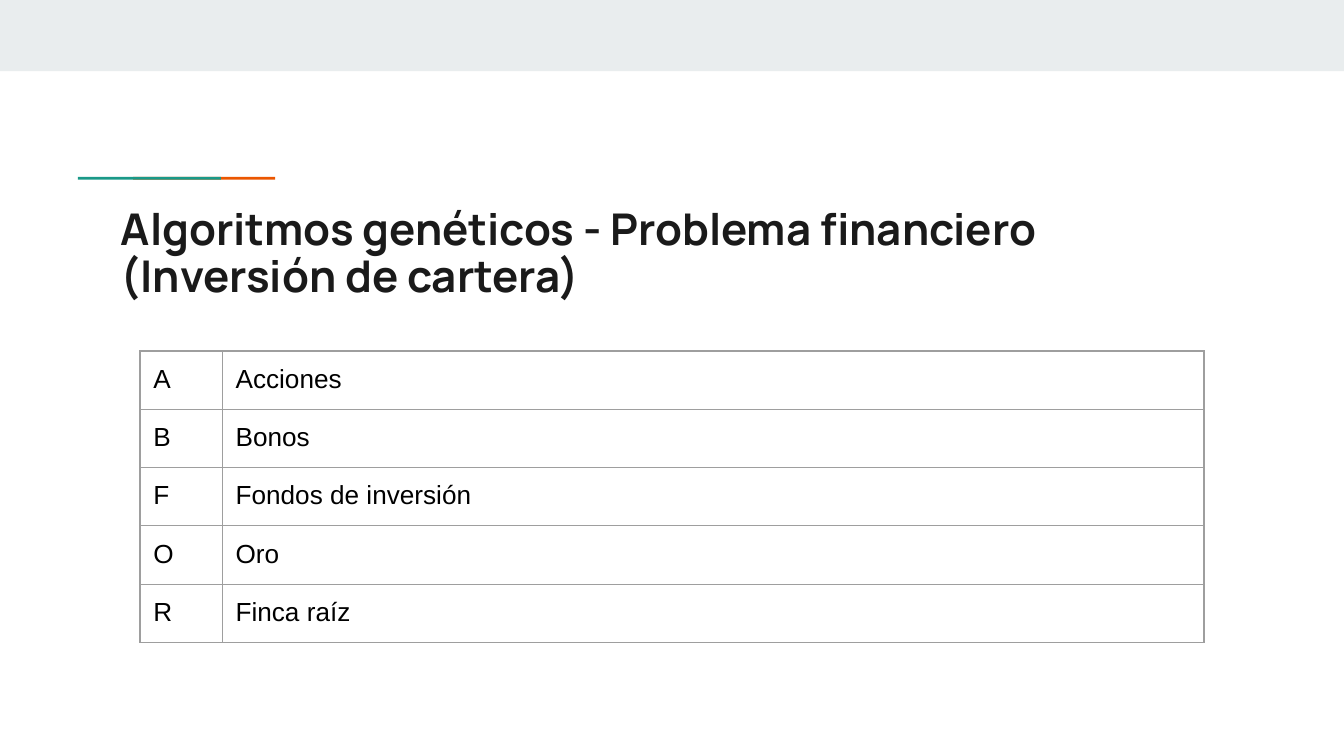
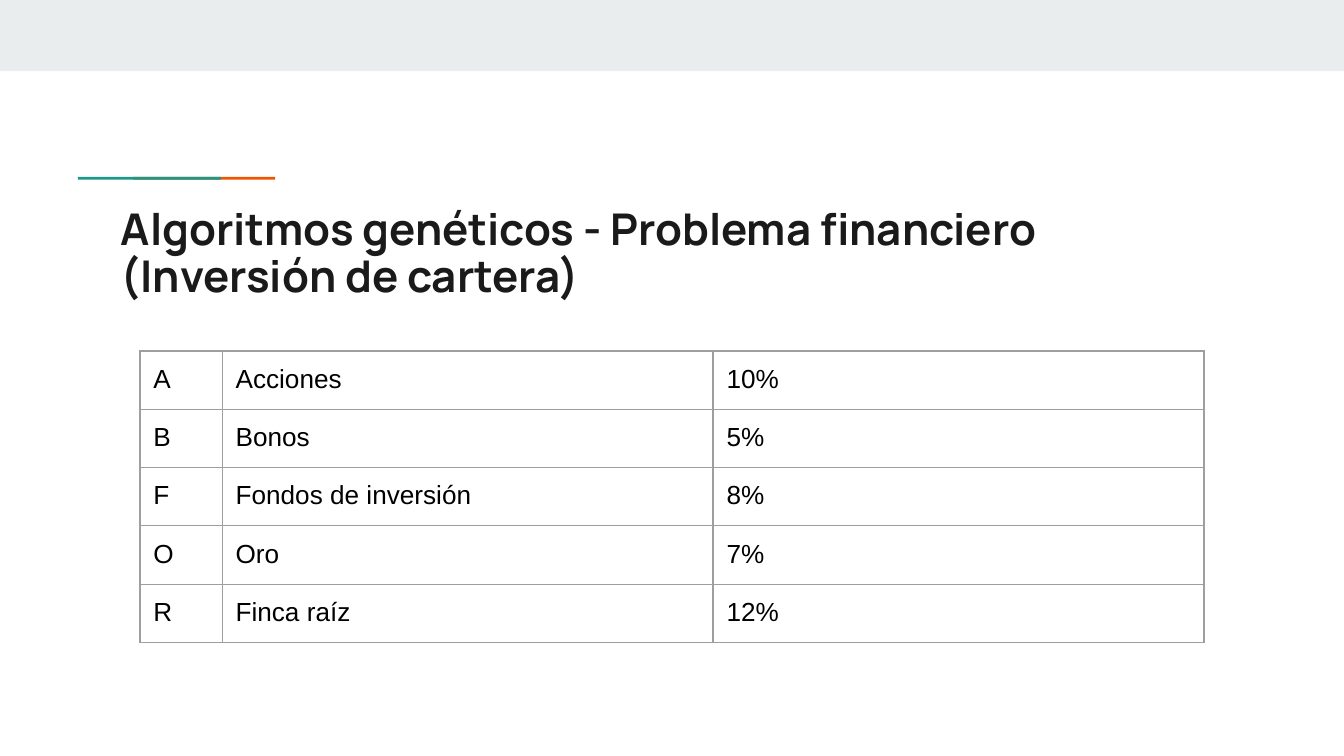
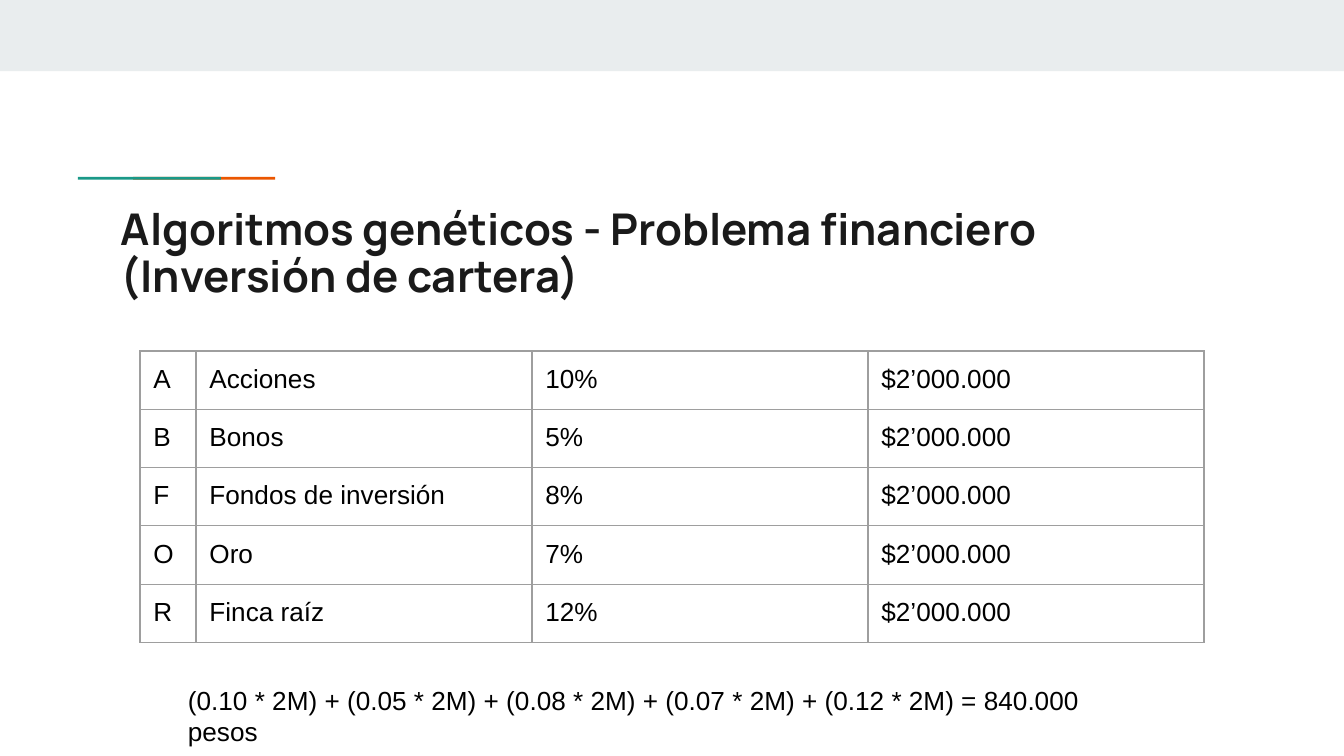
from dataclasses import dataclass

from lxml.etree import SubElement
from pptx import Presentation
from pptx.dml.color import RGBColor
from pptx.enum.shapes import MSO_SHAPE
from pptx.enum.text import MSO_ANCHOR
from pptx.oxml.ns import qn
from pptx.util import Pt


@dataclass(frozen=True)
class Theme:
    band: str = "E9EDEE"
    teal: str = "1A9988"
    orange: str = "EB5600"
    heading: str = "1A1A1A"
    body: str = "000000"
    grid: str = "9E9E9E"
    heading_font: str = "Manrope"
    body_font: str = "Arial"
    heading_size: float = 23.4
    body_size: float = 14
    grid_width: float = 0.75
    inset: float = 7.2


THEME = Theme()
SLIDE_WIDTH, SLIDE_HEIGHT = 720, 405
TABLE_LEFT, TABLE_TOP, TABLE_WIDTH, ROW_HEIGHT = 75, 188, 570, 30.1

HEADING = "Algoritmos genéticos - Problema financiero (Inversión de cartera)"
RETURN_SUM = ("(0.10 * 2M) + (0.05 * 2M) + (0.08 * 2M) + (0.07 * 2M) + "
              "(0.12 * 2M) = 840.000 pesos")
AMOUNT = "$2’000.000"
ASSETS = [
    ("A", "Acciones", "10%", AMOUNT),
    ("B", "Bonos", "5%", AMOUNT),
    ("F", "Fondos de inversión", "8%", AMOUNT),
    ("O", "Oro", "7%", AMOUNT),
    ("R", "Finca raíz", "12%", AMOUNT),
]


def add_bar(slide, left, top, width, height, color):
    bar = slide.shapes.add_shape(
        MSO_SHAPE.RECTANGLE, Pt(left), Pt(top), Pt(width), Pt(height))
    bar.shadow.inherit = False
    bar.fill.solid()
    bar.fill.fore_color.rgb = RGBColor.from_string(color)
    bar.line.fill.background()


def add_run(paragraph, words, font_name, size, color, bold=False):
    run = paragraph.add_run()
    run.text = words
    run.font.name = font_name
    run.font.size = Pt(size)
    run.font.bold = bold
    run.font.color.rgb = RGBColor.from_string(color)


def add_body_run(paragraph, words):
    add_run(paragraph, words, THEME.body_font, THEME.body_size, THEME.body)


def set_insets(holder):
    holder.margin_left = holder.margin_right = Pt(THEME.inset)
    holder.margin_top = holder.margin_bottom = Pt(THEME.inset)


def add_text_area(slide, left, top, width, height):
    """Add a wrapping text box and return its first paragraph."""
    frame = slide.shapes.add_textbox(
        Pt(left), Pt(top), Pt(width), Pt(height)).text_frame
    frame.word_wrap = True
    frame.vertical_anchor = MSO_ANCHOR.TOP
    set_insets(frame)
    return frame.paragraphs[0]


def add_heading(slide):
    heading = add_text_area(slide, 57.6, 103.9, 605.5, 42.5)
    heading.line_spacing = 0.9
    add_run(heading, HEADING, THEME.heading_font, THEME.heading_size,
            THEME.heading, bold=True)


def add_base_slide(deck):
    slide = deck.slides.add_slide(deck.slide_layouts[6])
    # Top band, then the accent rule: teal overlaps orange
    add_bar(slide, 0, 0, SLIDE_WIDTH, 38.2, THEME.band)
    add_bar(slide, 71.3, 94.8, 76.2, 1.5, THEME.orange)
    add_bar(slide, 41.8, 94.8, 76.6, 1.5, THEME.teal)
    add_heading(slide)
    return slide


def outline_cell(cell):
    properties = cell._tc.get_or_add_tcPr()
    for side in ("a:lnL", "a:lnR", "a:lnT", "a:lnB"):
        edge = SubElement(properties, qn(side), w=str(Pt(THEME.grid_width)))
        fill = SubElement(edge, qn("a:solidFill"))
        SubElement(fill, qn("a:srgbClr"), val=THEME.grid)


def add_asset_table(slide, column_count, code_width):
    """Show the first columns of ASSETS; those after the code share the rest."""
    table = slide.shapes.add_table(
        len(ASSETS), column_count, Pt(TABLE_LEFT), Pt(TABLE_TOP),
        Pt(TABLE_WIDTH), Pt(ROW_HEIGHT * len(ASSETS))).table
    table.first_row = False
    table.horz_banding = False

    detail_width = (TABLE_WIDTH - code_width) / (column_count - 1)
    for index, column in enumerate(table.columns):
        column.width = Pt(detail_width if index else code_width)

    for row, asset in zip(table.rows, ASSETS):
        row.height = Pt(ROW_HEIGHT)
        for cell, words in zip(row.cells, asset):
            set_insets(cell)
            outline_cell(cell)
            cell.fill.background()
            add_body_run(cell.text_frame.paragraphs[0], words)


def main():
    deck = Presentation()
    deck.slide_width, deck.slide_height = Pt(SLIDE_WIDTH), Pt(SLIDE_HEIGHT)

    # Asset codes
    add_asset_table(add_base_slide(deck), column_count=2, code_width=44)

    # Rates of return
    add_asset_table(add_base_slide(deck), column_count=3, code_width=44)

    # Amounts invested and total return
    portfolio = add_base_slide(deck)
    add_asset_table(portfolio, column_count=4, code_width=30)
    add_body_run(add_text_area(portfolio, 93.6, 359.3, 532.8, 31.7), RETURN_SUM)

    deck.save("out.pptx")


if __name__ == "__main__":
    main()
